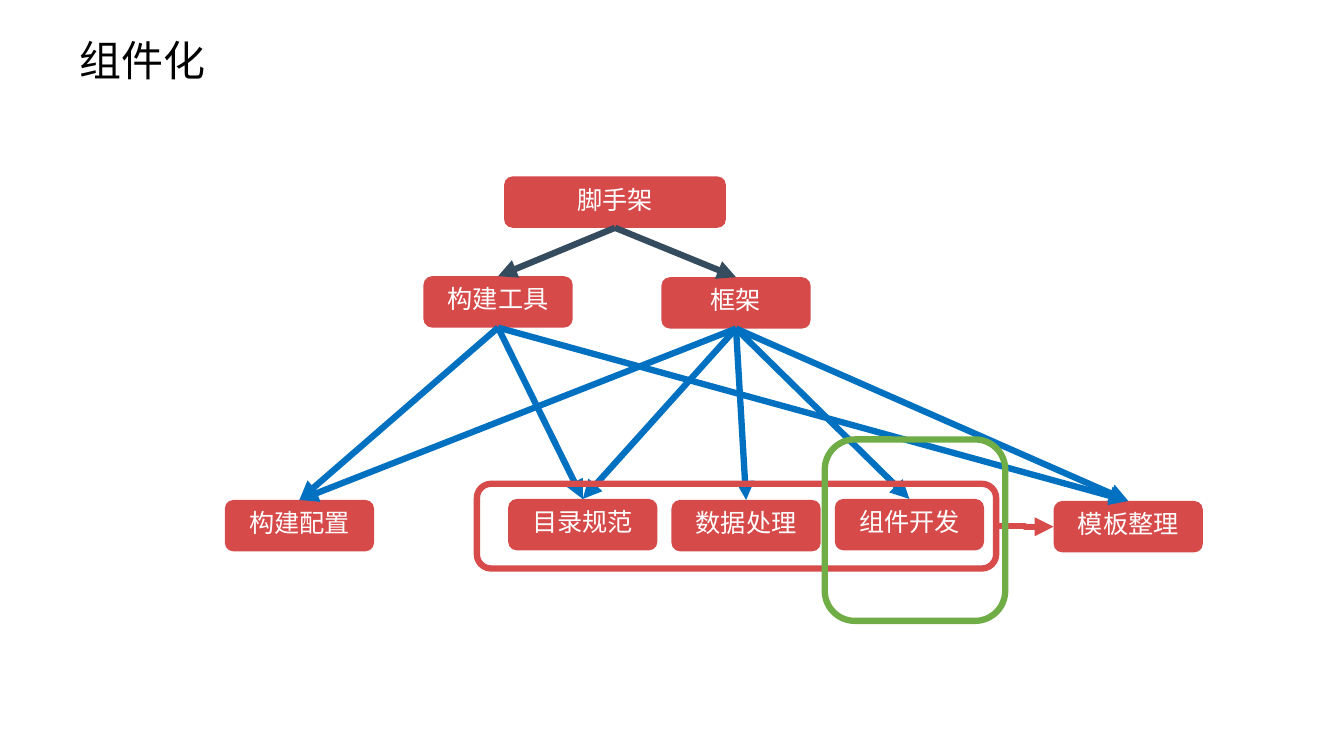
import pptx
import pptx.util
from pptx.dml.color import RGBColor
from pptx.enum.shapes import MSO_CONNECTOR, MSO_SHAPE
from pptx.enum.text import MSO_ANCHOR, PP_ALIGN
from pptx.oxml.ns import qn
from lxml import etree

RED = RGBColor(0xD7, 0x4A, 0x4A)
FRAME_RED = RGBColor(0xD7, 0x4B, 0x4B)
GREEN = RGBColor(0x70, 0xAD, 0x47)
BLUE = RGBColor(0x00, 0x70, 0xC0)
SLATE = RGBColor(0x35, 0x4B, 0x5E)
WHITE = RGBColor(0xFF, 0xFF, 0xFF)
BLACK = RGBColor(0x00, 0x00, 0x00)

TITLE_FONT = "Noto Sans CJK SC"
NODE_FONT = "Lato"
CELL = 0.1  # grid cell in inches
NODE_W, NODE_H = 14.8, 5.1
LINE_WIDTH = pptx.util.Pt(4.5)

# Left and top of each node, in grid cells from the diagram's corner
TRIO = ["目录规范", "数据处理", "组件开发"]
TRIO_LEFT, TRIO_STEP = 28.1, 16.2
NODES = {
    "构建工具": (19.7, 9.9),
    "框架": (43.3, 10),
    "构建配置": (0, 32.1),
    "模板整理": (82.2, 32.2),
}
for i, (name, top) in enumerate(zip(TRIO, (32, 32.1, 32))):
    NODES[name] = (TRIO_LEFT + i * TRIO_STEP, top)

LINKS = [
    ("脚手架", ["构建工具", "框架"], SLATE),
    ("框架", TRIO + ["模板整理", "构建配置"], BLUE),
    ("构建工具", ["目录规范", "模板整理", "构建配置"], BLUE),
]


def add_title(s, left, top, width, height):
    tb = s.shapes.add_textbox(*map(pptx.util.Inches, (left, top, width, height)))
    tf = tb.text_frame
    tf.word_wrap = True
    tf.vertical_anchor = MSO_ANCHOR.MIDDLE
    tf.text = "组件化"
    font = tf.paragraphs[0].runs[0].font
    font.size = pptx.util.Pt(30)
    font.name = TITLE_FONT
    font.color.rgb = BLACK
    etree.SubElement(font._element, qn("a:ea")).set("typeface", TITLE_FONT)


def add_round_rect(s, origin, left, top, width, height):
    """Place a rounded rectangle in grid cells from origin, given in inches."""
    x, y = (pptx.util.Inches(o + n * CELL) for o, n in zip(origin, (left, top)))
    w, h = (pptx.util.Inches(n * CELL) for n in (width, height))
    sp = s.shapes.add_shape(MSO_SHAPE.ROUNDED_RECTANGLE, x, y, w, h)
    sp.shadow.inherit = False
    return sp


def add_node(s, origin, label, left, top, width=NODE_W):
    sp = add_round_rect(s, origin, left, top, width, NODE_H)
    sp.fill.solid()
    sp.fill.fore_color.rgb = RED
    sp.line.fill.background()
    tf = sp.text_frame
    tf.vertical_anchor = MSO_ANCHOR.TOP
    tf.text = label
    p = tf.paragraphs[0]
    p.alignment = PP_ALIGN.CENTER
    font = p.runs[0].font
    font.size = pptx.util.Pt(18)
    font.name = NODE_FONT
    font.color.rgb = WHITE
    return sp


def add_frame(s, origin, left, top, width, height, color):
    sp = add_round_rect(s, origin, left, top, width, height)
    sp.fill.background()
    sp.line.color.rgb = color
    sp.line.width = LINE_WIDTH
    return sp


def add_arrow(s, source, target, color, kind=MSO_CONNECTOR.STRAIGHT, sides=(2, 0)):
    """Join two shapes at the given sides, bottom to top unless told otherwise."""
    cxn = s.shapes.add_connector(kind, 0, 0, 0, 0)
    cxn.begin_connect(source, sides[0])
    cxn.end_connect(target, sides[1])
    cxn.line.color.rgb = color
    cxn.line.width = LINE_WIDTH
    etree.SubElement(cxn.line._get_or_add_ln(), qn("a:tailEnd")).set("type", "triangle")
    etree.SubElement(cxn._element.spPr, qn("a:effectLst"))


def add_diagram(s, left, top):
    origin = (left, top)
    nodes = {"脚手架": add_node(s, origin, "脚手架", 27.7, 0, 22)}
    for label, place in NODES.items():
        nodes[label] = add_node(s, origin, label, *place)
    for source, targets, color in LINKS:
        for target in targets:
            add_arrow(s, nodes[source], nodes[target], color)
    trio_frame = add_frame(s, origin, 25, 30.5, 51.5, 8.4, FRAME_RED)
    add_arrow(s, trio_frame, nodes["模板整理"], FRAME_RED, MSO_CONNECTOR.ELBOW, (3, 1))
    add_frame(s, origin, 59.5, 26.1, 17.9, 18, GREEN)


def main():
    prs = pptx.Presentation()
    prs.slide_width = pptx.util.Inches(13.33)
    prs.slide_height = pptx.util.Inches(7.5)
    s = prs.slides.add_slide(prs.slide_layouts[6])
    add_title(s, 0.69, 0.3, 8.62, 0.58)
    add_diagram(s, 2.23, 1.75)
    prs.save("out.pptx")


if __name__ == "__main__":
    main()
